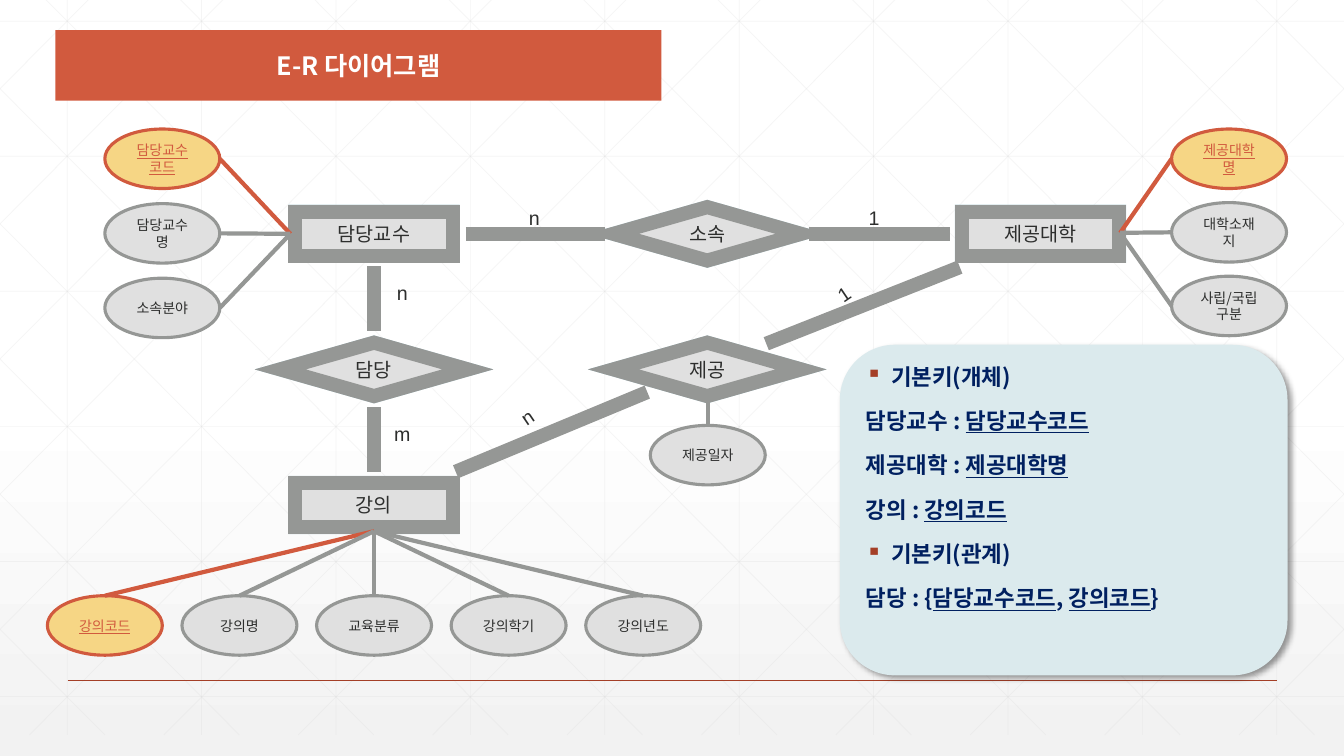
from collections import namedtuple
from dataclasses import dataclass

from lxml import etree
from pptx import Presentation
from pptx import util as u
from pptx.dml import color
from pptx.enum import dml, shapes, text
from pptx.oxml import ns

Box = namedtuple("Box", "left top width height")


@dataclass(frozen=True)
class Theme:
    white: str = "FFFFFF"
    haze: str = "F2F2F2"
    grid: str = "D9D9D9"
    accent: str = "D15A3E"
    rule: str = "A43F27"
    gray: str = "959795"
    pale: str = "E0E0E0"
    key: str = "F6D685"
    ink: str = "2D2E2D"
    navy: str = "002060"
    panel: str = "DBEAED"
    glow: str = "4F91A1"
    korean: str = "Noto Sans CJK KR"
    latin: str = "Arial"
    title_size: int = 18
    panel_size: int = 16
    node_size: int = 14
    oval_size: int = 10


THEME = Theme()
MIDDLE = text.MSO_ANCHOR.MIDDLE
CENTER = text.PP_ALIGN.CENTER


def rgb(value):
    return color.RGBColor.from_string(value)


def child(parent, name, **attributes):
    return etree.SubElement(parent, ns.qn(name), attributes)


def set_font(para, size, ink, name=THEME.korean, bold=False):
    font = para.font
    font.size, font.name, font.bold = u.Pt(size), name, bold
    font.color.rgb = rgb(ink)
    child(font._element, "a:ea", typeface=name)


def add_shadow(shape, ink, alpha, blur=0, distance=0, angle=90):
    effects = shape._element.spPr.find(ns.qn("a:effectLst"))
    shadow = child(effects, "a:outerShdw", blurRad=str(u.Pt(blur)), dist=str(u.Pt(distance)),
                   dir=str(angle * 60000), algn="ctr", rotWithShape="0")
    child(child(shadow, "a:srgbClr", val=ink), "a:alpha", val=str(alpha * 1000))


def add_line(page, start, end, ink, width, alpha=None):
    line = page.shapes.add_connector(shapes.MSO_CONNECTOR.STRAIGHT,
                                     *[u.Inches(value) for value in (*start, *end)])
    line.line.color.rgb = rgb(ink)
    line.line.width = u.Pt(width)
    if alpha:
        tint = line.line._ln.find(".//" + ns.qn("a:srgbClr"))
        child(tint, "a:alpha", val=str(alpha * 1000))
    child(line._element.spPr, "a:effectLst")


def add_figure(page, kind, box, fill, outline=None, width=0):
    shape = page.shapes.add_shape(kind, *[u.Inches(value) for value in box])
    shape.shadow.inherit = False
    shape.fill.solid()
    shape.fill.fore_color.rgb = rgb(fill)
    if outline:
        shape.line.color.rgb = rgb(outline)
        shape.line.width = u.Pt(width)
        child(shape.line._ln, "a:miter", lim="800000")
    else:
        shape.line.fill.background()
    return shape


def write_centered(shape, words, size, ink, name=THEME.korean, bold=False):
    frame = shape.text_frame
    frame.word_wrap = True
    frame.text = words
    for para in frame.paragraphs:
        para.alignment = CENTER
        set_font(para, size, ink, name, bold)
    return frame


def add_words(page, box, words, size, ink, name=THEME.korean, bold=False, rotation=0):
    label = page.shapes.add_textbox(*[u.Inches(value) for value in box])
    label.rotation = rotation
    write_centered(label, words, size, ink, name, bold)


def draw_backdrop(page, box):
    fill = page.background.fill
    fill.gradient()
    fill.gradient_angle = 270
    for stop, position, ink in zip(fill.gradient_stops, (0.53, 1), (THEME.white, THEME.haze)):
        stop.position = position
        stop.color.rgb = rgb(ink)

    pitch = box.width / 10
    right, bottom = box.left + box.width, box.top + box.height
    lines = [((x, box.top), (x, bottom)) for x in (box.left + pitch * (i + 0.5) for i in range(10))]
    lines += [((box.left, y), (right, y)) for y in (box.top + 0.42 + 1.34 * i for i in range(6))]
    # Diagonals are clipped at the sides, and each has a mirror image
    slope = box.height / 7.455
    for i in range(-5, 10):
        top_x = box.left + 0.25 + pitch * i
        ends = [(x, box.top + (x - top_x) * slope)
                for x in (max(top_x, box.left), min(top_x + 7.455, right))]
        lines += [ends, [(box.left + right - x, y) for x, y in ends]]
    for start, end in lines:
        add_line(page, start, end, THEME.grid, 0.5, alpha=25)
    add_line(page, (0.67, 6.75), (12.67, 6.75), THEME.rule, 1)


def draw_title(page, box):
    add_figure(page, shapes.MSO_SHAPE.RECTANGLE, box, THEME.accent)
    add_words(page, box._replace(top=box.top + 0.15, height=0.4), "E-R 다이어그램",
              THEME.title_size, THEME.white, bold=True)


def draw_relations(page, box):
    """The box runs between the centres of the outermost nodes."""
    # Nodes: name, column and row as shares of the box
    entities = [("담당교수", 0, 0), ("제공대학", 1, 0), ("강의", 0, 1)]
    relations = [("소속", 0.5, 0), ("담당", 0, 0.5), ("제공", 0.5, 0.5)]
    for kind, width, height, nodes in (
            (shapes.MSO_SHAPE.RECTANGLE, 1.56, 0.44, entities),
            (shapes.MSO_SHAPE.DIAMOND, 1.86, 0.53, relations)):
        for name, column, row in nodes:
            place = Box(box.left + box.width * column - width / 2,
                        box.top + box.height * row - height / 2, width, height)
            node = add_figure(page, kind, place, THEME.pale, THEME.gray, 10)
            add_shadow(node, THEME.glow, 43)
            write_centered(node, name, THEME.node_size, THEME.ink).vertical_anchor = MIDDLE

    # Links: start, end, cardinality, label centre, rotation
    links = [((0.91, 0), (2.29, 0), "n", (1.59, -0.16), 0),
             ((4.31, 0), (5.71, 0), "1", (4.96, -0.16), 0),
             ((0, 0.32), (0, 0.96), "n", (0.28, 0.59), 0),
             ((0, 1.72), (0, 2.36), "m", (0.28, 1.99), 0),
             ((2.71, 1.57), (0.81, 2.36), "n", (1.52, 1.82), 326),
             ((5.81, 0.33), (3.89, 1.09), "1", (4.66, 0.6), 326)]
    for start, end, mark, middle, rotation in links:
        start, end, middle = [(box.left + x, box.top + y) for x, y in (start, end, middle)]
        add_line(page, start, end, THEME.gray, 10)
        add_words(page, Box(middle[0] - 0.325, middle[1] - 0.17, 0.65, 0.34), mark,
                  THEME.node_size, THEME.ink, THEME.latin, rotation=rotation)


def draw_attributes(page, box, names, step, port, hub, has_key=True):
    """The box holds the first oval; port is the share of it where lines leave."""
    for i, name in enumerate(names):
        place = box._replace(left=box.left + step[0] * i, top=box.top + step[1] * i)
        is_key = has_key and i == 0
        edge = THEME.accent if is_key else THEME.gray
        oval = add_figure(page, shapes.MSO_SHAPE.OVAL, place,
                          THEME.key if is_key else THEME.pale, edge, 2.25)
        frame = write_centered(oval, name, THEME.oval_size, THEME.accent if is_key else THEME.ink)
        frame.vertical_anchor = MIDDLE
        for para in frame.paragraphs:
            para.font.underline = is_key
        start = (place.left + place.width * port[0], place.top + place.height * port[1])
        add_line(page, start, hub, edge, 3)


def draw_keys(page, box):
    panel = add_figure(page, shapes.MSO_SHAPE.ROUNDED_RECTANGLE, box, THEME.panel)
    add_shadow(panel, "000000", 40, 4, 3, 45)
    frame = panel.text_frame
    frame.word_wrap = True
    frame.vertical_anchor = text.MSO_ANCHOR.TOP
    # Every second span is an underlined key; a lone span is a bulleted heading
    rows = [["기본키(개체)"], ["담당교수 : ", "담당교수코드"], ["제공대학 : ", "제공대학명"],
            ["강의 : ", "강의코드"], ["기본키(관계)"],
            ["담당 : {", "담당교수코드", ", ", "강의코드", "}"]]
    for i, row in enumerate(rows):
        para = frame.add_paragraph() if i else frame.paragraphs[0]
        para.alignment = text.PP_ALIGN.JUSTIFY
        para.line_spacing = 0.9
        para.space_before = u.Pt(14.4 if i else 0)
        if len(row) == 1:
            props = para._p.get_or_add_pPr()
            props.set("marL", str(u.Inches(0.25)))
            props.set("indent", str(u.Inches(-0.25)))
            child(child(props, "a:buClr"), "a:srgbClr", val=THEME.rule)
            child(props, "a:buChar", char="▪")
        set_font(para, THEME.panel_size, THEME.navy, bold=True)
        for j, words in enumerate(row):
            span = para.add_run()
            span.text = words
            if j % 2:
                span.font.underline = True


def main():
    deck = Presentation()
    deck.slide_width, deck.slide_height = u.Inches(13.33), u.Inches(7.5)
    page = deck.slides.add_slide(deck.slide_layouts[6])
    draw_backdrop(page, Box(0, -0.21, 13.33, 7.5))
    draw_title(page, Box(0.55, 0.3, 6.01, 0.7))
    draw_relations(page, Box(3.71, 2.32, 6.61, 2.69))
    oval = Box(1.04, 1.28, 1.14, 0.59)
    draw_attributes(page, oval, ["담당교수\n코드", "담당교수명", "소속분야"],
                    (0, 0.74), (1, 0.5), (2.88, 2.32))
    draw_attributes(page, oval._replace(left=0.47, top=5.91),
                    ["강의코드", "강의명", "교육분류", "강의학기", "강의년도"],
                    (1.335, 0), (0.5, 0), (3.71, 5.27))
    draw_attributes(page, oval._replace(left=11.62), ["제공대학명", "대학소재지", "사립/국립 구분"],
                    (0, 0.73), (0, 0.5), (11.11, 2.31))
    draw_attributes(page, oval._replace(left=6.45, top=4.22), ["제공일자"],
                    (0, 0), (0.5, 0), (7.02, 3.94), has_key=False)
    draw_keys(page, Box(8.33, 3.42, 4.44, 3.28))
    deck.save("out.pptx")


if __name__ == "__main__":
    main()
